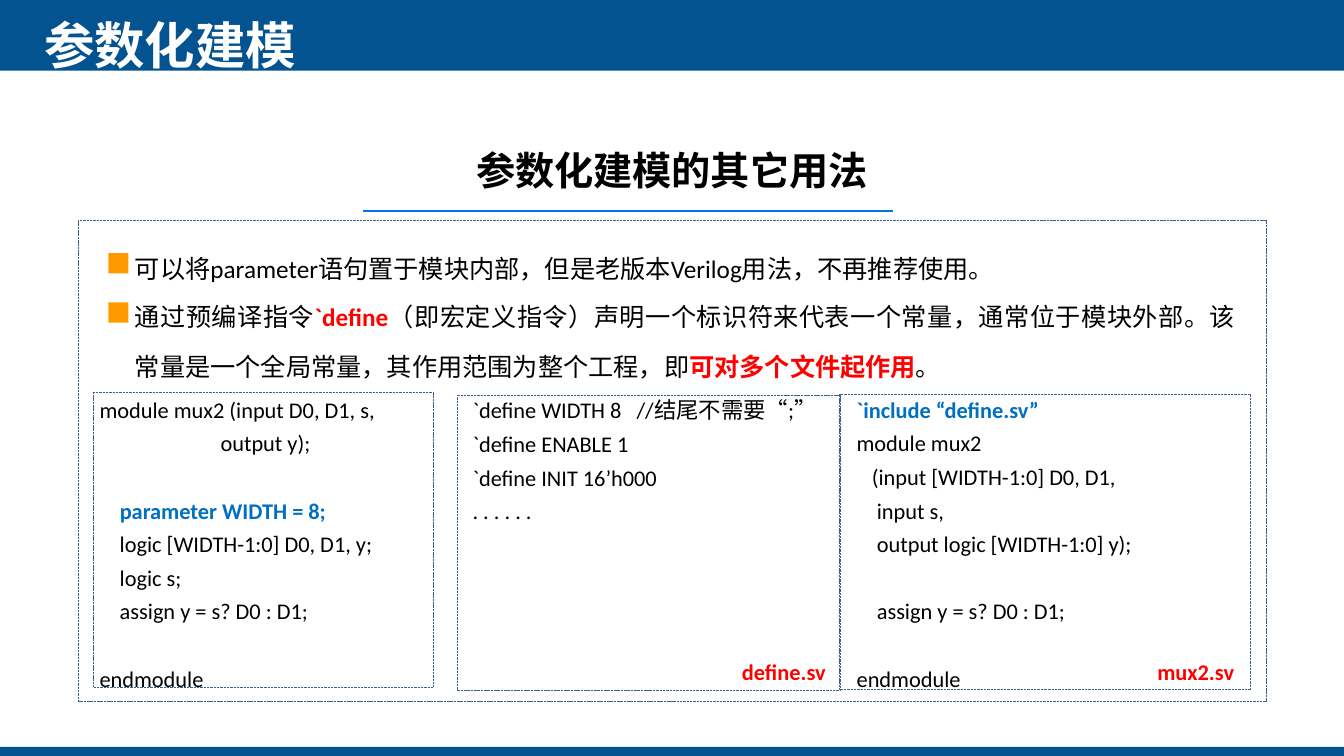
from dataclasses import dataclass
from lxml import etree
from pptx import Presentation
from pptx import util as u
from pptx.dml.color import RGBColor
from pptx.enum import dml, shapes, text
from pptx.oxml.ns import qn


@dataclass(frozen=True)
class Theme:
    band: str = "035390"
    rule: str = "0075EA"
    frame: str = "3A5F8C"
    bullet: str = "FF9900"
    ink: str = "000000"
    white: str = "FFFFFF"
    red: str = "FF0000"
    blue: str = "0070C0"
    latin: str = "Calibri"
    chinese: str = "Noto Sans CJK SC"
    title_size: int = 36
    heading_size: int = 28
    body_size: int = 18
    code_size: int = 16


class SlideBuilder:
    def __init__(self, slide, theme):
        self.slide = slide
        self.theme = theme

    def rectangle(self, left, top, width, height, fill=None):
        """Filled block, or a dotted frame when no fill is given."""
        shape = self.slide.shapes.add_shape(
            shapes.MSO_SHAPE.RECTANGLE, u.Cm(left), u.Cm(top), u.Cm(width), u.Cm(height))
        shape.shadow.inherit = False
        if fill:
            shape.fill.solid()
            shape.fill.fore_color.rgb = RGBColor.from_string(fill)
            shape.line.fill.background()
        else:
            shape.fill.background()
            shape.line.color.rgb = RGBColor.from_string(self.theme.frame)
            shape.line.width = u.Pt(0.25)
            shape.line.dash_style = dml.MSO_LINE.SQUARE_DOT

    def rule(self, left, right, top):
        line = self.slide.shapes.add_connector(
            shapes.MSO_CONNECTOR.STRAIGHT, u.Cm(left), u.Cm(top), u.Cm(right), u.Cm(top))
        line.line.color.rgb = RGBColor.from_string(self.theme.rule)
        line.line.width = u.Pt(1.5)
        etree.SubElement(line._element.spPr, qn("a:effectLst"))

    def run(self, paragraph, words, size, color, bold, latin):
        run = paragraph.add_run()
        run.text = words
        font = run.font
        font.name, font.size, font.bold = latin, u.Pt(size), bold
        font.color.rgb = RGBColor.from_string(color)
        east_asian = etree.SubElement(run._r.get_or_add_rPr(), qn("a:ea"))
        east_asian.set("typeface", self.theme.chinese)

    def text(self, left, top, width, height, lines, size, align="LEFT",
             spacing=None, middle=False, latin=None):
        """Each line is a list of (words, colour, bold); an empty one becomes a gap."""
        box = self.slide.shapes.add_textbox(u.Cm(left), u.Cm(top), u.Cm(width), u.Cm(height))
        frame = box.text_frame
        frame.word_wrap = True
        if middle:
            frame.vertical_anchor = text.MSO_ANCHOR.MIDDLE
        paragraph, gap = frame.paragraphs[0], 0
        for number, line in enumerate(lines):
            if not line:
                gap += spacing
                continue
            if number:
                paragraph = frame.add_paragraph()
            paragraph.alignment = text.PP_ALIGN[align]
            if spacing:
                paragraph.line_spacing = u.Pt(spacing)
            if gap:
                paragraph.space_before = u.Pt(gap)
                gap = 0
            for words, color, bold in line:
                self.run(paragraph, words, size, color, bold, latin or self.theme.latin)

    def bullet(self, top, square_top, height, runs):
        self.text(3.15, top, 28.24, height, [runs], self.theme.body_size, "JUSTIFY", 36)
        self.rectangle(2.73, square_top, 0.51, 0.51, self.theme.bullet)

    def code(self, text_box, frame_box, source):
        theme = self.theme
        lines = [[(line, theme.ink, False)] if isinstance(line, str) and line else line
                 for line in source]
        self.text(*text_box, lines, theme.code_size, "JUSTIFY", 24)
        self.rectangle(*frame_box)

    def file_label(self, left, width, name):
        self.text(left, 16.46, width, 0.94, [[(name, self.theme.red, True)]],
                  self.theme.code_size, "CENTER")


def main():
    presentation = Presentation()
    presentation.slide_width, presentation.slide_height = u.Cm(33.87), u.Cm(19.05)
    theme = Theme()
    builder = SlideBuilder(
        presentation.slides.add_slide(presentation.slide_layouts[6]), theme)

    # Bands and title
    builder.rectangle(0, 0, 33.87, 1.78, theme.band)
    builder.rectangle(0, 18.82, 33.87, 0.23, theme.band)
    builder.text(0.86, 0, 29.21, 2.26, [[("参数化建模", theme.white, True)]],
                 theme.title_size, middle=True, latin=theme.chinese)

    # Heading and main frame
    builder.text(9.02, 3.56, 15.82, 1.45, [[("参数化建模的其它用法", theme.ink, True)]],
                 theme.heading_size, "CENTER")
    builder.rule(9.14, 22.5, 5.31)
    builder.rectangle(1.96, 5.54, 29.95, 12.12)

    # Bulleted statements
    builder.bullet(5.74, 6.38, 1.52, [
        ("可以将parameter语句置于模块内部，但是老版本Verilog用法，不再推荐使用。",
         theme.ink, False)])
    builder.bullet(6.96, 7.62, 2.82, [
        ("通过预编译指令", theme.ink, False),
        ("`define", theme.red, True),
        ("（即宏定义指令）声明一个标识符来代表一个常量，通常位于模块外部。"
         "该常量是一个全局常量，其作用范围为整个工程，即", theme.ink, False),
        ("可对多个文件起作用", theme.red, True),
        ("。", theme.ink, False)])

    # Code panels
    builder.code((2.26, 9.68, 8.97, 7.9), (2.36, 9.88, 8.56, 7.44), [
        "module mux2 (input D0, D1, s,",
        "                        output y);",
        "",
        [("    ", theme.ink, False), ("parameter WIDTH = 8;", theme.blue, True)],
        "    logic [WIDTH-1:0] D0, D1, y;",
        "    logic s;",
        "    assign y = s? D0 : D1;",
        "",
        "endmodule"])
    builder.code((11.66, 9.7, 9.91, 3.61), (11.53, 9.96, 9.65, 7.44), [
        "`define WIDTH 8   //结尾不需要“;”",
        "`define ENABLE 1",
        "`define INIT 16’h000",
        ". . . . . ."])
    builder.code((21.34, 9.68, 10.39, 7.9), (21.16, 9.93, 10.34, 7.44), [
        [("`include “define.sv”", theme.blue, True)],
        "module mux2",
        "   (input [WIDTH-1:0] D0, D1,",
        "    input s,",
        "    output logic [WIDTH-1:0] y);",
        "",
        "    assign y = s? D0 : D1;",
        "",
        "endmodule"])

    # File names
    builder.file_label(18.36, 2.79, "define.sv")
    builder.file_label(28.8, 2.67, "mux2.sv")

    presentation.save("out.pptx")


if __name__ == "__main__":
    main()
